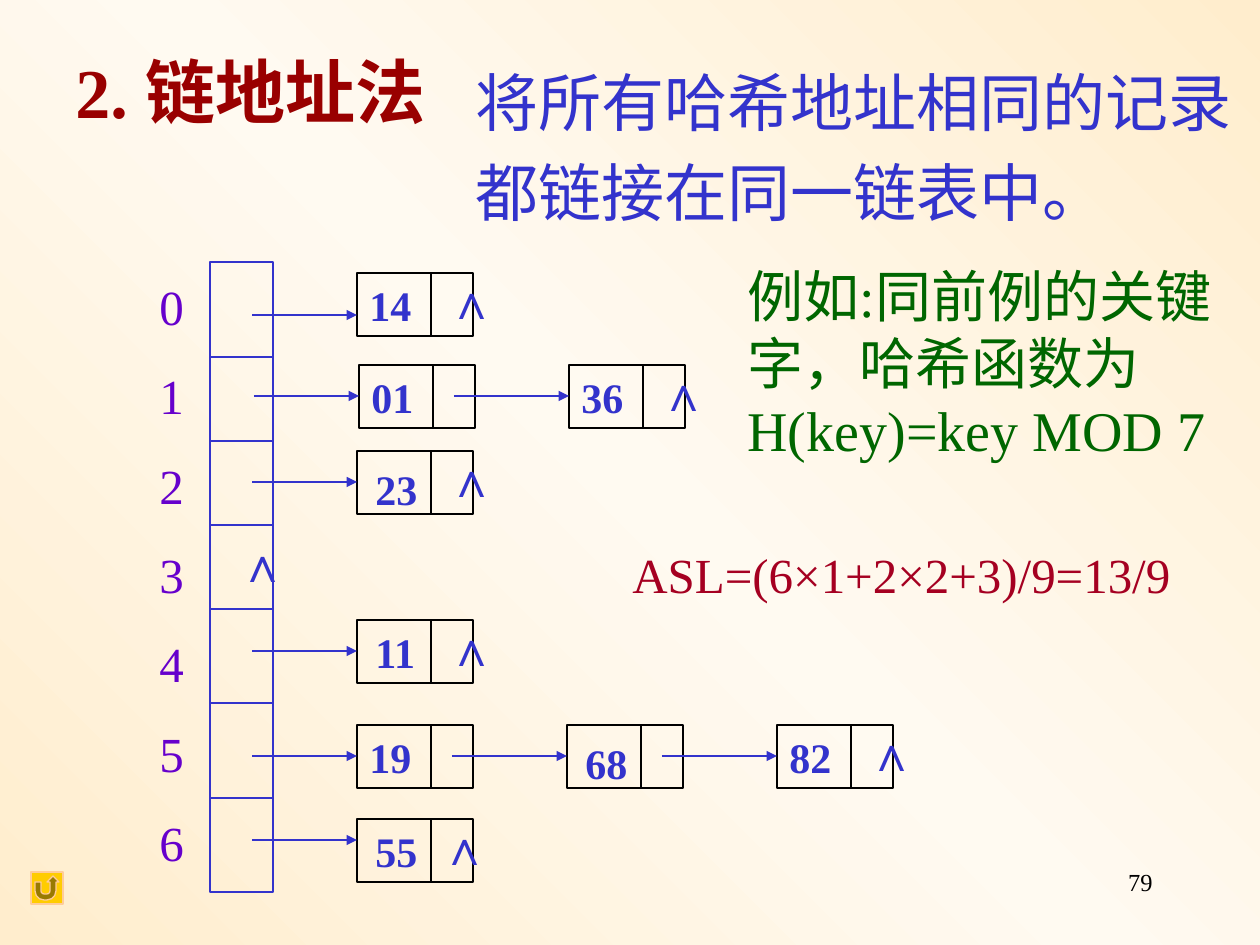
import copy
from lxml import etree
from pptx import Presentation
from pptx.dml.color import RGBColor
from pptx.enum import shapes, text
from pptx.oxml.ns import qn
from pptx import util as u

PX = 914400 / 126
SERIF, SANS = "Times New Roman", "Arial"
BLUE, BLACK = "3333CC", "000000"


def px(length):
    return u.Emu(round(length * PX))


def rgb(value):
    return RGBColor.from_string(value)


def write(frame, content, size=24, color=BLUE, font=SERIF, bold=False,
          align=text.PP_ALIGN.LEFT, wrap=True, spacing=None, before=None, indent=0):
    """Fill a text frame, one paragraph for each line of content."""
    frame.word_wrap = wrap
    for i, line in enumerate(content.split("\n")):
        paragraph = frame.paragraphs[0] if i == 0 else frame.add_paragraph()
        paragraph.alignment = align
        if spacing:
            paragraph.line_spacing = spacing
        if before:
            paragraph.space_before = u.Pt(before)
        if indent:
            properties = paragraph._p.get_or_add_pPr()
            properties.set("marL", str(px(indent)))
            properties.set("indent", "0")
        run = paragraph.add_run()
        run.text = line
        run.font.size = u.Pt(size)
        run.font.name = font
        run.font.bold = bold
        run.font.color.rgb = rgb(color)


class HashSlide:
    NODE_W, NODE_H, DIVIDER, POINTER = 116, 63, 74, 95
    FIRST_NODE, NODE_STEP, HEAD_POINTER = 357, 210, 252

    def __init__(self, deck):
        self.slide = deck.slides.add_slide(deck.slide_layouts[6])

    def background(self, edge, middle):
        fill = self.slide.background.fill
        fill.gradient()
        fill.gradient_angle = 45
        stops = fill.gradient_stops
        for stop, color, position in zip(stops, (edge, middle), (0, 0.5)):
            stop.color.rgb = rgb(color)
            stop.position = position
        stop_list = stops[0]._gs.getparent()
        last = copy.deepcopy(stops[0]._gs)
        last.set("pos", "100000")
        stop_list.append(last)

    def label(self, x, y, w, h, content, **style):
        box = self.slide.shapes.add_textbox(px(x), px(y), px(w), px(h))
        write(box.text_frame, content, **style)

    def null_mark(self, x, y):
        self.label(x, y, 42, 72, "∧", size=28, font=SANS, bold=True, wrap=False)

    def shape(self, kind, x, y, w, h, line, fill=None):
        item = self.slide.shapes.add_shape(kind, px(x), px(y), px(w), px(h))
        item.shadow.inherit = False
        if fill:
            item.fill.solid()
            item.fill.fore_color.rgb = rgb(fill)
        else:
            item.fill.background()
        item.line.color.rgb = rgb(line)
        item.line.width = u.Pt(0.75)
        return item

    def rect(self, x, y, w, h, line):
        return self.shape(shapes.MSO_SHAPE.RECTANGLE, x, y, w, h, line)

    def line(self, x1, y1, x2, y2, color=BLUE, width=0.75, arrow=False):
        item = self.slide.shapes.add_connector(
            shapes.MSO_CONNECTOR.STRAIGHT, px(x1), px(y1), px(x2), px(y2))
        item.line.color.rgb = rgb(color)
        item.line.width = u.Pt(width)
        if arrow:
            tail = etree.SubElement(item.line._get_or_add_ln(), qn("a:tailEnd"))
            tail.set("type", "triangle")
        etree.SubElement(item._element.spPr, qn("a:effectLst"))

    def arrow(self, x1, x2, y):
        self.line(x1, y, x2, y, width=1.5, arrow=True)

    def node(self, x, y, key, drop):
        """Key and pointer cells; a drop sets the key in its own label."""
        box = self.rect(x, y, self.NODE_W, self.NODE_H, BLACK)
        if drop is None:
            write(box.text_frame, key, bold=True, wrap=False)
            box.text_frame.vertical_anchor = text.MSO_ANCHOR.MIDDLE
        else:
            self.label(x + 6, y + drop, 67, 63, key, bold=True, wrap=False)
        divider = x + self.DIVIDER
        self.line(divider, y, divider, y + self.NODE_H, BLACK)

    def chain(self, y, keys, shift=0, arrow_dy=31, null_dx=78):
        start = self.HEAD_POINTER + shift
        for i, (key, drop) in enumerate(keys):
            x = self.FIRST_NODE + shift + i * self.NODE_STEP
            self.node(x, y, key, drop)
            self.arrow(start, x, y + arrow_dy)
            start = x + self.POINTER
        self.null_mark(x + null_dx, y - 9)


def main():
    deck = Presentation()
    deck.slide_width, deck.slide_height = px(1260), px(945)
    page = HashSlide(deck)
    page.background("FFEDCD", "FFFAF1")

    # Heading, definition and page number
    page.label(903, 861, 262, 63, "79", size=14, color=BLACK,
               align=text.PP_ALIGN.RIGHT)
    page.label(410, 42, 861, 305, "将所有哈希地址相同的记录\n都链接在同一链表中。",
               size=36, spacing=1.2, indent=53)
    page.label(-63, 42, 514, 181, "2. 链地址法", size=40, color="990000",
               bold=True, indent=126)

    # Table of list heads with its addresses
    page.rect(210, 262, 63, 630, BLUE)
    for y in (357, 441, 525, 609, 703, 798):
        page.line(210, y, 273, y)
    page.label(147, 270, 73, 609, "\n".join(map(str, range(7))), size=28,
               color="6600CC", before=17.5)
    page.null_mark(226, 527)

    # Linked lists: (key, drop of a separate key label)
    page.chain(273, [("14", None)], arrow_dy=42)
    page.chain(365, [("01", None), ("36", None)], shift=2)
    page.chain(451, [("23", 6)])
    page.chain(620, [("11", 0)])
    page.chain(725, [("19", None), ("68", 6), ("82", None)])
    page.chain(819, [("55", 0)], arrow_dy=21, null_dx=71)

    # Return button
    page.shape(shapes.MSO_SHAPE.ACTION_BUTTON_RETURN, 31, 872, 32, 32,
               "FFCC99", "FFCC00")

    # Search length and example
    page.label(620, 538, 563, 72, "ASL=(6×1+2×2+3)/9=13/9", size=28, color="A50021")
    page.label(735, 255, 525, 214, "例如:同前例的关键字，哈希函数为 H(key)=key MOD 7",
               size=32, color="006600")

    deck.save("out.pptx")


if __name__ == "__main__":
    main()
